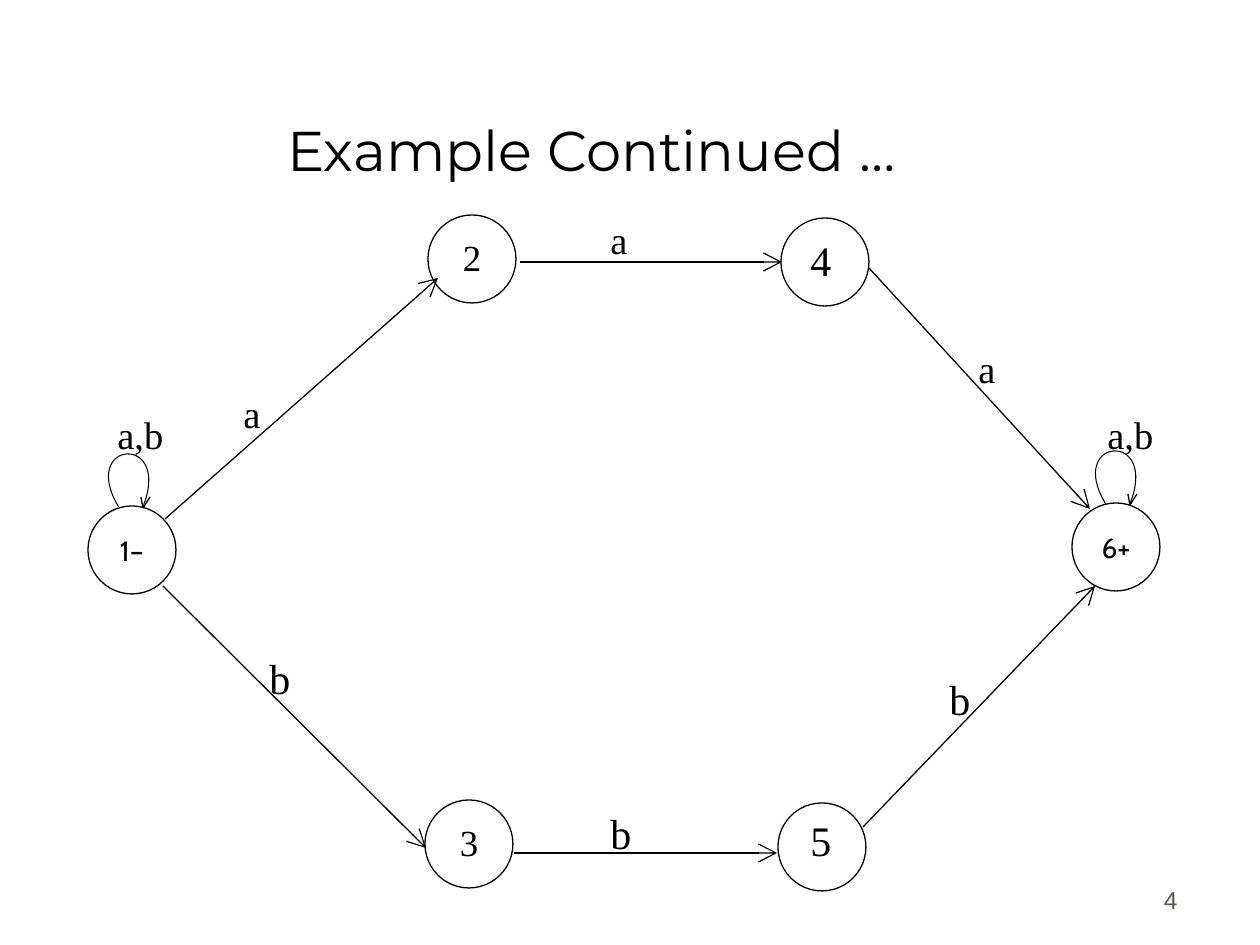
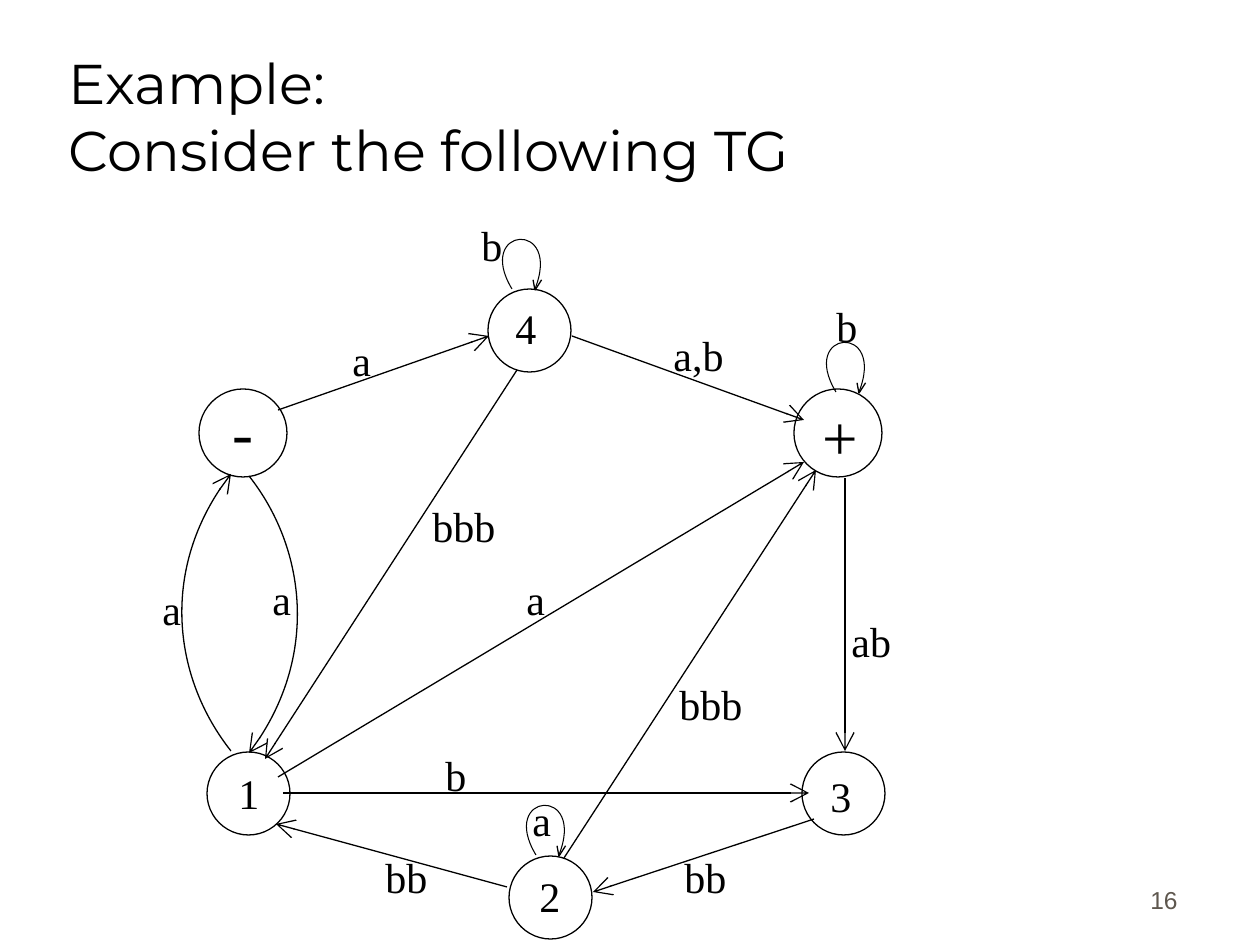
from dataclasses import dataclass
from typing import NamedTuple

from lxml import etree
from pptx import Presentation
from pptx.dml.color import RGBColor
from pptx.enum.shapes import MSO_CONNECTOR, MSO_SHAPE
from pptx.enum.text import MSO_ANCHOR, PP_ALIGN
from pptx.oxml.ns import qn
from pptx.util import Pt

OVAL, LINE = MSO_SHAPE.OVAL, MSO_CONNECTOR.STRAIGHT
TOP, MID, LOW = MSO_ANCHOR.TOP, MSO_ANCHOR.MIDDLE, MSO_ANCHOR.BOTTOM
LEFT, CENTER, RIGHT = PP_ALIGN.LEFT, PP_ALIGN.CENTER, PP_ALIGN.RIGHT

SCALE = 914400 / 126  # EMU per pixel
COLORS = {"ink": "000000", "paper": "FFFFFF", "page": "5E574E"}
SERIF, SANS, HEAD, FOOT = "Times New Roman", "Cabin", "Montserrat", "Arial"
THIN, HAIR = 0.74, 0.6
TILT = 5  # degrees a loop leans

Point = tuple[float, float]


class Node(NamedTuple):
    x: int
    y: int
    size: int
    text: str = ""
    points: int = 21
    font: str = SERIF
    lift: int = 2


class Edge(NamedTuple):
    start: Point
    end: Point


class Arc(NamedTuple):
    start: Point
    bend: Point
    turn: Point
    end: Point


class Loop(NamedTuple):
    x: int
    y: int
    ratio: float = 1.0


class Label(NamedTuple):
    x: int
    y: int
    text: str
    points: int = 24


@dataclass
class Graph:
    title: list[str]
    align: PP_ALIGN
    page: str
    nodes: list[Node]
    edges: list[Edge]
    arcs: list[Arc]
    loops: list[Loop]
    labels: list[Label]


def emu(size: float) -> int:
    return round(size * SCALE)


def color(name: str) -> RGBColor:
    return RGBColor.from_string(COLORS[name])


# Text
def write(shape, lines: list[str], points: int, font: str, align=LEFT,
          anchor=TOP, ink: str = "ink", wrap: bool = True):
    frame = shape.text_frame
    frame.word_wrap = wrap
    frame.vertical_anchor = anchor
    para = frame.paragraphs[0]
    para.alignment = align
    for i, line in enumerate(lines):
        if i:
            para.add_line_break()
        run = para.add_run()
        run.text = line
        run.font.size = Pt(points)
        run.font.name = font
        run.font.color.rgb = color(ink)
    return frame


def add_box(slide, x: int, y: int, wide: int, high: int):
    return slide.shapes.add_textbox(emu(x), emu(y), emu(wide), emu(high))


def add_title(slide, lines: list[str], align) -> None:
    box = add_box(slide, 56, 32, 1071, 157)
    write(box, lines, 32, HEAD, align, LOW)


def add_page(slide, text: str) -> None:
    box = add_box(slide, 928, 858, 262, 63)
    frame = write(box, [text], 14, FOOT, RIGHT, LOW, "page")
    frame.paragraphs[0].space_before = Pt(8.8)


def add_label(slide, label: Label) -> None:
    box = add_box(slide, label.x, label.y, 130, 66)
    write(box, [label.text], label.points, SERIF)


# Lines and outlines
def stroke(shape, width: float = THIN, arrow: bool = False) -> None:
    shape.line.color.rgb = color("ink")
    shape.line.width = Pt(width)
    if arrow:
        line = shape.element.spPr.find(qn("a:ln"))
        etree.SubElement(line, qn("a:tailEnd"), type="arrow",
                         w="lg", len="lg")


def add_node(slide, node: Node) -> None:
    size = emu(node.size)
    oval = slide.shapes.add_shape(OVAL, emu(node.x), emu(node.y), size, size)
    oval.shadow.inherit = False
    oval.fill.solid()
    oval.fill.fore_color.rgb = color("paper")
    stroke(oval)
    if node.text:
        frame = write(oval, [node.text], node.points, node.font, CENTER, MID,
                      wrap=False)
        frame.margin_bottom = emu(6 + 2 * node.lift)


def add_edge(slide, edge: Edge) -> None:
    ends = [emu(n) for point in edge for n in point]
    line = slide.shapes.add_connector(LINE, *ends)
    stroke(line, arrow=True)
    etree.SubElement(line.element.spPr, qn("a:effectLst"))


def add_path(slide, points, width: float = THIN, arrow: bool = False):
    spots = [(emu(x), emu(y)) for x, y in points]
    pen = slide.shapes.build_freeform(*spots[0])
    pen.add_line_segments(spots[1:], close=False)
    shape = pen.convert_to_shape()
    shape.shadow.inherit = False
    shape.fill.background()
    stroke(shape, width, arrow)
    return shape


def add_curve(slide, arc: Arc, width: float = THIN, arrow: bool = False):
    """Draw the control points, then turn their segments into one curve."""
    shape = add_path(slide, arc, width, arrow)
    route = next(shape.element.iter(qn("a:path")))
    bend = etree.SubElement(route, qn("a:cubicBezTo"))
    for step in route.findall(qn("a:lnTo")):
        bend.append(step[0])
        route.remove(step)
    return shape


def add_loop(slide, loop: Loop) -> None:
    def place(x: int, y: int) -> Point:
        return loop.x + x * loop.ratio, loop.y + y * loop.ratio

    arc = Arc(place(46, 79), place(0, 16), place(94, 0), place(70, 78))
    add_curve(slide, arc, HAIR).rotation = TILT
    tip = place(67, 80)
    add_path(slide, [tip, place(74, 69)])
    add_path(slide, [place(65, 69), tip])


def draw(deck, graph: Graph) -> None:
    slide = deck.slides.add_slide(deck.slide_layouts[6])
    add_page(slide, graph.page)
    add_title(slide, graph.title, graph.align)
    for node in graph.nodes:
        add_node(slide, node)
    for edge in graph.edges:
        add_edge(slide, edge)
    for arc in graph.arcs:
        add_curve(slide, arc, arrow=True)
    for loop in graph.loops:
        add_loop(slide, loop)
    for label in graph.labels:
        add_label(slide, label)


# Two branches from state 1 to state 6
BRANCH = Graph(
    title=["Example Continued …"], align=CENTER, page="4",
    nodes=[
        Node(428, 215, 88, "2"),
        Node(88, 506, 88, "1–", 16, SANS, 0),
        Node(425, 800, 88, "3"),
        Node(1072, 503, 88, "6+", 16, SANS, 0),
        Node(781, 218, 88),
        Node(778, 803, 88),
    ],
    edges=[
        Edge((520, 262), (782, 262)),
        Edge((514, 853), (777, 853)),
        Edge((165, 519), (438, 278)),
        Edge((163, 586), (426, 848)),
        Edge((863, 827), (1095, 586)),
        Edge((869, 268), (1090, 509)),
    ],
    arcs=[],
    loops=[Loop(1063, 425), Loop(76, 428)],
    labels=[
        Label(798, 228, "4"),
        Label(798, 808, "5"),
        Label(231, 384, "a", 22),
        Label(598, 210, "a", 22),
        Label(966, 339, "a", 22),
        Label(1095, 405, "a,b", 22),
        Label(105, 405, "a,b", 22),
        Label(257, 646, "b"),
        Label(598, 801, "b"),
        Label(937, 667, "b"),
    ],
)

# Transition graph with string labels
TANGLE = Graph(
    title=["Example:", "Consider the following TG"], align=LEFT, page="16",
    nodes=[
        Node(207, 752, 83),
        Node(199, 389, 88),
        Node(802, 752, 83),
        Node(794, 389, 88),
        Node(509, 856, 83),
        Node(488, 289, 83),
    ],
    edges=[
        Edge((278, 410), (489, 336)),
        Edge((572, 336), (804, 420)),
        Edge((283, 793), (809, 793)),
        Edge((814, 819), (593, 892)),
        Edge((507, 887), (276, 824)),
        Edge((278, 777), (804, 462)),
        Edge((845, 478), (845, 751)),
        Edge((517, 370), (265, 759)),
        Edge((564, 858), (816, 470)),
    ],
    arcs=[
        Arc((231, 751), (174, 679), (160, 564), (231, 474)),
        Arc((249, 476), (305, 547), (319, 662), (249, 753)),
    ],
    loops=[Loop(796, 318, 0.94), Loop(472, 215, 0.94), Loop(496, 781, 0.94)],
    labels=[
        Label(433, 743, "b"),
        Label(373, 845, "bb"),
        Label(667, 672, "bbb"),
        Label(839, 609, "ab"),
        Label(672, 845, "bb"),
        Label(824, 294, "b"),
        Label(469, 213, "b"),
        Label(340, 328, "a"),
        Label(661, 323, "a,b"),
        Label(420, 494, "bbb"),
        Label(150, 577, "a"),
        Label(260, 567, "a"),
        Label(514, 567, "a"),
        Label(520, 788, "a"),
        Label(220, 386, "-", 36),
        Label(810, 391, "+", 36),
        Label(226, 761, "1"),
        Label(527, 864, "2"),
        Label(818, 764, "3"),
        Label(503, 296, "4"),
    ],
)

deck = Presentation()
deck.slide_width, deck.slide_height = emu(1260), emu(945)
for graph in (BRANCH, TANGLE):
    draw(deck, graph)
deck.save("out.pptx")
